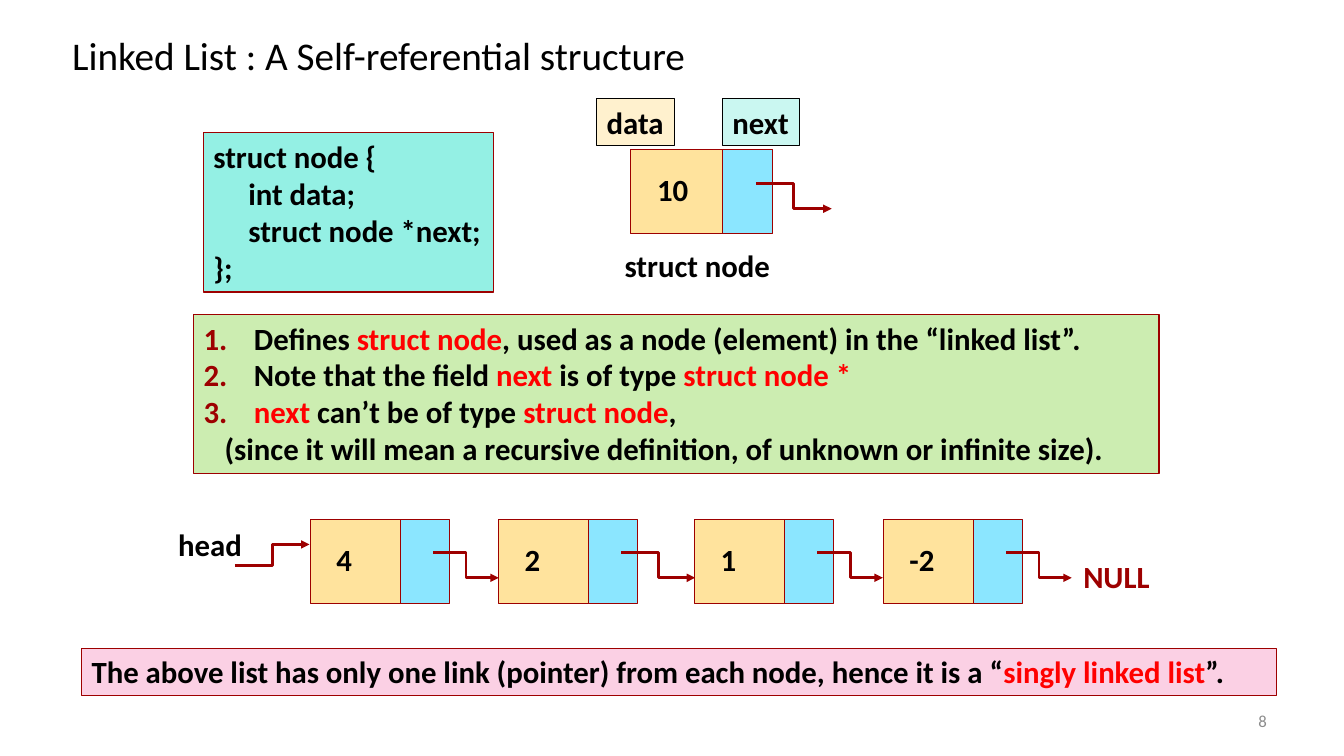
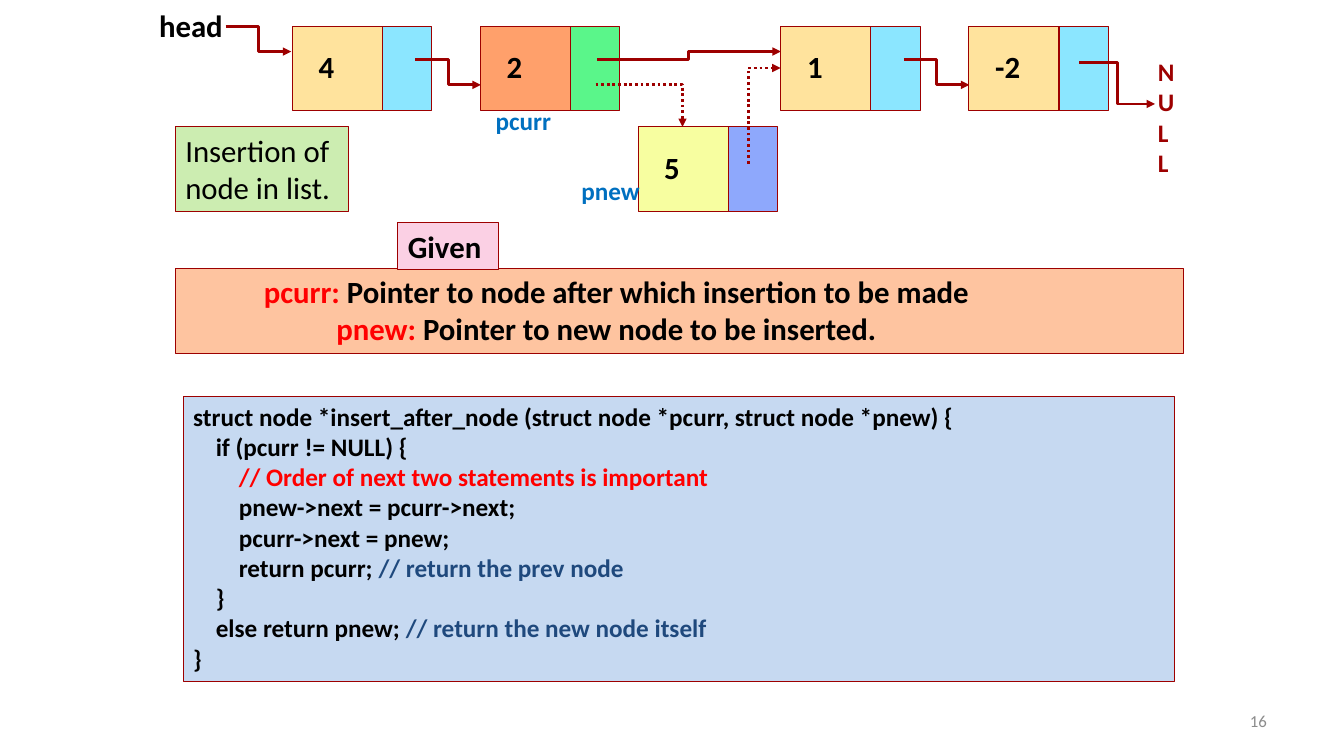
from pptx import Presentation
from pptx.dml.color import RGBColor
from pptx.enum.dml import MSO_LINE
from pptx.enum.shapes import MSO_CONNECTOR, MSO_SHAPE
from pptx.enum.text import MSO_ANCHOR, PP_ALIGN
from pptx.oxml.ns import qn
from pptx.oxml.xmlchemy import OxmlElement
from pptx.util import Cm, Pt

RECTANGLE = MSO_SHAPE.RECTANGLE
ELBOW = MSO_CONNECTOR.ELBOW
DOTTED = MSO_LINE.ROUND_DOT
TOP, MIDDLE = MSO_ANCHOR.TOP, MSO_ANCHOR.MIDDLE
LEFT, RIGHT = PP_ALIGN.LEFT, PP_ALIGN.RIGHT

FONT = "Calibri"
BLACK = RGBColor(0x00, 0x00, 0x00)
RED = RGBColor(0xFF, 0x00, 0x00)
MAROON = RGBColor(0x9D, 0x00, 0x00)
BLUE = RGBColor(0x00, 0x70, 0xC0)
NAVY = RGBColor(0x1F, 0x49, 0x7D)
GREY = RGBColor(0x8C, 0x8C, 0x8C)
SAND = RGBColor(0xFF, 0xE3, 0x9D)
SKY = RGBColor(0x8B, 0xE6, 0xFF)
CREAM = RGBColor(0xFF, 0xF1, 0xCE)
MINT = RGBColor(0xCA, 0xF7, 0xF1)
TURQUOISE = RGBColor(0x94, 0xF0, 0xE4)
LIME = RGBColor(0xCC, 0xED, 0xB1)
PINK = RGBColor(0xFB, 0xD0, 0xE4)
ORANGE = RGBColor(0xFF, 0xA0, 0x6B)
GREEN = RGBColor(0x5A, 0xF6, 0x8A)
YELLOW = RGBColor(0xF7, 0xFE, 0xA0)
PERIWINKLE = RGBColor(0x8E, 0xA8, 0xFC)
PEACH = RGBColor(0xFE, 0xC4, 0xA0)
PALE_BLUE = RGBColor(0xC6, 0xD9, 0xF1)

DATA_WIDTH, LINK_WIDTH, NODE_HEIGHT = 2.27, 1.24, 2.12


def add_box(page, place, lines=(), fill=None, edge=MAROON, size=22, bold=True,
            wrap=True, anchor=TOP, align=LEFT):
    lengths = [Cm(value) for value in place]
    if fill is None:
        box = page.shapes.add_textbox(*lengths)
    else:
        box = page.shapes.add_shape(RECTANGLE, *lengths)
        box.shadow.inherit = False
        box.fill.solid()
        box.fill.fore_color.rgb = fill
        box.line.color.rgb = edge
        box.line.width = Pt(0.75)
    frame = box.text_frame
    frame.word_wrap = wrap
    frame.vertical_anchor = anchor
    for number, (indent, spans) in enumerate(lines):
        para = frame.add_paragraph() if number else frame.paragraphs[0]
        para.alignment = align
        if indent:
            para._p.get_or_add_pPr().set("marL", str(Cm(indent)))
        for text, color in spans:
            span = para.add_run()
            span.text = text
            span.font.name = FONT
            span.font.size = Pt(size)
            span.font.bold = bold
            span.font.color.rgb = color
    return box


def add_arrow(page, start, end, dash=None):
    arrow = page.shapes.add_connector(ELBOW, *[Cm(value) for value in start + end])
    arrow.line.color.rgb = MAROON
    arrow.line.width = Pt(2)
    if dash:
        arrow.line.dash_style = dash
    tip = OxmlElement("a:tailEnd")
    tip.set("type", "triangle")
    arrow.line._get_or_add_ln().append(tip)
    arrow._element.spPr.append(OxmlElement("a:effectLst"))
    return arrow


deck = Presentation()
deck.slide_width, deck.slide_height = Cm(33.87), Cm(19.05)
blank = deck.slide_layouts[6]
intro = deck.slides.add_slide(blank)
insertion = deck.slides.add_slide(blank)

for page, number in ((intro, "8"), (insertion, "16")):
    add_box(page, (24.28, 17.65, 7.9, 1.02), [(0, [(number, GREY)])],
            size=12, bold=False, anchor=MIDDLE, align=RIGHT)

nodes = [
    (intro, 7.82, 13.08, "4", SAND, SKY, 1.65),
    (intro, 12.56, 13.08, "2", SAND, SKY, 1.86),
    (intro, 17.5, 13.08, "1", SAND, SKY, 1.65),
    (intro, 22.26, 13.08, "-2", SAND, SKY, 1.65),
    (insertion, 7.37, 0.66, "4", SAND, SKY, 1.65),
    (insertion, 12.11, 0.66, "2", ORANGE, GREEN, None),
    (insertion, 19.68, 0.66, "1", SAND, SKY, 1.65),
    (insertion, 24.42, 0.66, "-2", SAND, SKY, None),
    (insertion, 16.08, 3.2, "5", YELLOW, PERIWINKLE, None),
]
for page, left, top, value, data_fill, link_fill, reach in nodes:
    add_box(page, (left, top, DATA_WIDTH, NODE_HEIGHT), fill=data_fill)
    add_box(page, (left + DATA_WIDTH, top, LINK_WIDTH, NODE_HEIGHT), fill=link_fill)
    value_width = 0.64 + 0.25 * len(value)
    add_box(page, (left + 0.41, top + 0.43, value_width, 1.19),
            [(0, [(value, BLACK)])], wrap=False)
    if reach:
        add_arrow(page, (left + 3.1, top + 0.84), (left + 3.1 + reach, top + 1.48))

add_box(intro, (1.57, 0.53, 21.79, 1.7),
        [(0, [("Linked List : A Self-referential structure", BLACK)])],
        size=28, bold=False, anchor=MIDDLE)
add_box(intro, (5.13, 3.35, 7.32, 4.01), [
    (0, [("struct node {", BLACK)]),
    (0.88, [("int data;", BLACK)]),
    (0.88, [("struct node *next;", BLACK)]),
    (0, [("};", BLACK)]),
], fill=TURQUOISE, wrap=False)

add_box(intro, (15.88, 3.76, 2.34, 2.12), fill=SAND)
add_box(intro, (18.21, 3.76, 1.27, 2.12), fill=SKY)
for place, text, fill in (
    ((15.04, 2.49, 1.96, 1.19), "data", CREAM),
    ((18.21, 2.49, 1.93, 1.19), "next", MINT),
    ((16.31, 4.19, 1.3, 1.19), "10", None),
    ((15.49, 6.1, 4.39, 1.19), "struct node ", None),
    ((4.24, 13.13, 2.13, 1.19), "head", None),
):
    add_box(intro, place, [(0, [(text, BLACK)])], fill=fill, edge=BLACK, wrap=False)
add_arrow(intro, (19.05, 4.62), (20.96, 5.26))
add_arrow(intro, (5.92, 14.25), (7.8, 13.72))
add_box(intro, (27.05, 13.92, 2.18, 1.19), [(0, [("NULL", MAROON)])], wrap=False)

notes = add_box(intro, (4.88, 7.92, 24.33, 4.02), [
    (1.27, [("Defines ", BLACK), ("struct node", RED),
            (", used as a node (element) in the “linked list”.", BLACK)]),
    (1.27, [("Note that the field ", BLACK), ("next", RED),
            (" is of type ", BLACK), ("struct node *", RED)]),
    (1.27, [("next ", RED), ("can’t be of type ", BLACK),
            ("struct node", RED), (",", BLACK)]),
    (0.53, [("(since it will mean a recursive definition, of unknown or infinite size).",
             BLACK)]),
], fill=LIME)
for para in notes.text_frame.paragraphs[:3]:
    properties = para._p.get_or_add_pPr()
    properties.set("indent", str(Cm(-1.27)))
    bullet_color = OxmlElement("a:buClr")
    shade = OxmlElement("a:srgbClr")
    shade.set("val", str(MAROON))
    bullet_color.append(shade)
    numbering = OxmlElement("a:buAutoNum")
    numbering.set("type", "arabicPeriod")
    properties.append(bullet_color)
    properties.append(numbering)

add_box(intro, (2.06, 16.33, 30.1, 1.19), [
    (0, [("The above list has only one link (pointer) from each node, hence it is a “", BLACK),
         ("singly linked list", RED), ("”.", BLACK)]),
], fill=PINK)

add_box(insertion, (3.76, 0.05, 2.13, 1.19), [(0, [("head", BLACK)])], wrap=False)
add_arrow(insertion, (5.69, 0.66), (7.34, 1.3))
add_arrow(insertion, (15.04, 1.5), (19.68, 1.3))
add_arrow(insertion, (27.2, 1.57), (29.11, 2.62))
to_new_node = add_arrow(insertion, (15.01, 2.13), (17.2, 3.2), DOTTED)
from_new_node = add_arrow(insertion, (20.47, 3.33), (18.06, 2.51), DOTTED)
for arrow in (to_new_node, from_new_node):
    arrow._element.spPr.find(qn("a:prstGeom")).set("prst", "bentConnector2")
from_new_node._element.spPr.find(qn("a:xfrm")).set("rot", "5400000")

add_box(insertion, (28.93, 1.3, 0.91, 3.35), [(0, [("NULL", MAROON)])], size=18)
for place, text in (((12.24, 2.54, 1.93, 1.02), "pcurr"),
                    ((14.4, 4.29, 1.98, 1.02), "pnew")):
    add_box(insertion, place, [(0, [(text, BLUE)])], size=18, wrap=False)

add_box(insertion, (4.42, 3.2, 4.37, 2.14),
        [(0, [("Insertion of node in list.", BLACK)])], fill=LIME, bold=False)
add_box(insertion, (4.42, 6.76, 25.4, 2.14), [
    (1.98, [("pcurr:", RED), (" Pointer to node after which insertion to be made", BLACK)]),
    (3.81, [("pnew: ", RED), ("Pointer to new node to be inserted.", BLACK)]),
], fill=PEACH)
add_box(insertion, (10.03, 5.61, 2.54, 1.19), [(0, [("Given", BLACK)])], fill=PINK)

add_box(insertion, (4.62, 9.98, 24.99, 7.19), [
    (0, [("struct node *insert_after_node (struct node *pcurr, struct node *pnew) {", BLACK)]),
    (0.57, [("if (pcurr != NULL) {", BLACK)]),
    (1.15, [("// Order of next two statements is important", RED)]),
    (1.15, [("pnew->next = pcurr->next;", BLACK)]),
    (1.15, [("pcurr->next = pnew;", BLACK)]),
    (1.15, [("return pcurr; ", BLACK), ("// return the prev node", NAVY)]),
    (0.57, [("}", BLACK)]),
    (0.57, [("else return pnew; ", BLACK), ("// return the new node itself", NAVY)]),
    (0, [("}", BLACK)]),
], fill=PALE_BLUE, size=18)

deck.save("out.pptx")
